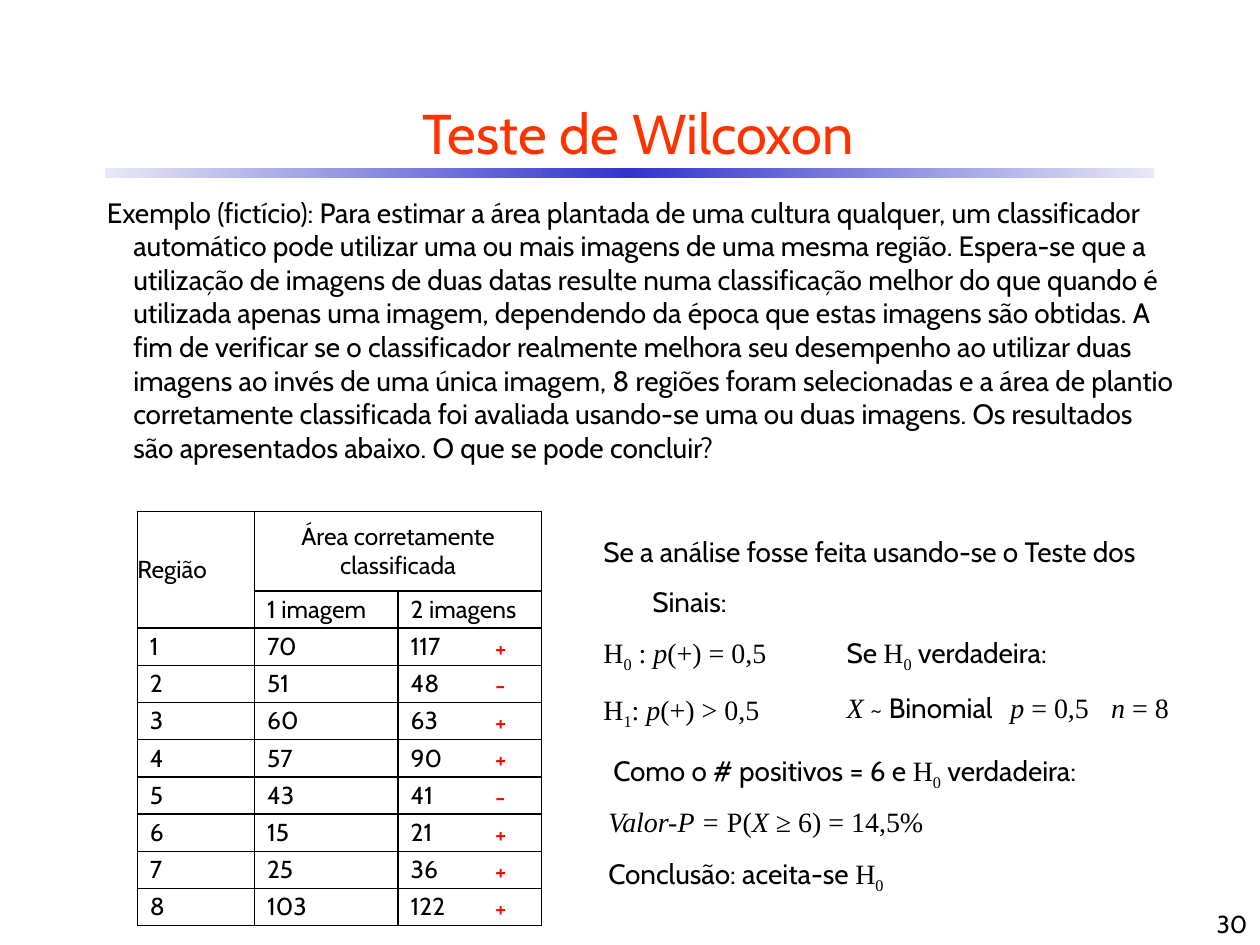
from copy import deepcopy

from lxml.etree import SubElement
from pptx import Presentation
from pptx.dml.color import RGBColor
from pptx.enum.shapes import MSO_SHAPE
from pptx.enum.text import MSO_ANCHOR, MSO_AUTO_SIZE, PP_ALIGN
from pptx.oxml.ns import qn
from pptx.util import Inches, Pt

BLACK = RGBColor(0x00, 0x00, 0x00)
WHITE = RGBColor(0xFF, 0xFF, 0xFF)
ORANGE = RGBColor(0xFF, 0x33, 0x00)
RED = RGBColor(0xFF, 0x00, 0x00)
BLUE = RGBColor(0x33, 0x33, 0xCC)
PALE_BLUE = RGBColor(0xE8, 0xE8, 0xF6)

SANS, SERIF, ITALIC, SUB = "sans", "serif", "italic", "sub"
H0 = [("H", SERIF), ("0", SUB)]

EXAMPLE = (
    "Exemplo (fictício): Para estimar a área plantada de uma cultura qualquer, "
    "um classificador automático pode utilizar uma ou mais imagens de uma mesma "
    "região. Espera-se que a utilização de imagens de duas datas resulte numa "
    "classificação melhor do que quando é utilizada apenas uma imagem, dependendo "
    "da época que estas imagens são obtidas. A fim de verificar se o classificador "
    "realmente melhora seu desempenho ao utilizar duas imagens ao invés de uma "
    "única imagem, 8 regiões foram selecionadas e a área de plantio corretamente "
    "classificada foi avaliada usando-se uma ou duas imagens. Os resultados são "
    "apresentados abaixo. O que se pode concluir?"
)
AREAS = [(70, 117), (51, 48), (60, 63), (57, 90), (43, 41), (15, 21), (25, 36), (103, 122)]


class SlideWriter:
    sans = "Cabin"
    serif = "Times New Roman"

    def __init__(self, slide):
        self.slide = slide

    def add_runs(self, paragraph, runs, size, color):
        for text, look in runs:
            run = paragraph.add_run()
            run.text = text
            font = run.font
            font.name = self.sans if look == SANS else self.serif
            font.size = Pt(size)
            font.color.rgb = color
            font.italic = look == ITALIC
            if look == SUB:
                font._element.set("baseline", "-25000")

    def text(self, box, paragraphs, size=16, color=BLACK, align=PP_ALIGN.LEFT,
             anchor=MSO_ANCHOR.TOP, wrap=True, grow=True, spacing=None,
             hanging=0, tabs=()):
        """Write a text box; each paragraph is a list of (text, look) pairs."""
        frame = self.slide.shapes.add_textbox(*map(Inches, box)).text_frame
        frame.word_wrap = wrap
        frame.auto_size = MSO_AUTO_SIZE.SHAPE_TO_FIT_TEXT if grow else MSO_AUTO_SIZE.NONE
        frame.vertical_anchor = anchor
        for index, runs in enumerate(paragraphs):
            paragraph = frame.add_paragraph() if index else frame.paragraphs[0]
            paragraph.alignment = align
            if spacing:
                paragraph.line_spacing = spacing
            properties = paragraph._p.get_or_add_pPr()
            if hanging:
                properties.set("marL", str(Inches(hanging)))
                properties.set("indent", str(-Inches(hanging)))
            if tabs:
                tab_list = SubElement(properties, qn("a:tabLst"))
                for position in tabs:
                    SubElement(tab_list, qn("a:tab"), pos=str(Inches(position)), algn="l")
            self.add_runs(paragraph, runs, size, color)

    def gradient_bar(self, box, edge, middle):
        bar = self.slide.shapes.add_shape(MSO_SHAPE.RECTANGLE, *map(Inches, box))
        bar.shadow.inherit = False
        bar.line.fill.background()
        bar.fill.gradient()
        bar.fill.gradient_angle = 0
        stop_list = bar._element.spPr.find(qn("a:gradFill")).find(qn("a:gsLst"))
        stop_list.insert(1, deepcopy(stop_list[0]))
        for stop, position, color in zip(bar.fill.gradient_stops, (0, 0.5, 1),
                                         (edge, middle, edge)):
            stop.position = position
            stop.color.rgb = color

    def table(self, left, top, widths, heights):
        size = (sum(widths), sum(heights))
        table = self.slide.shapes.add_table(
            len(heights), len(widths), *map(Inches, (left, top, *size))).table
        table.first_row = table.horz_banding = False
        for column, width in zip(table.columns, widths):
            column.width = Inches(width)
        for row, height in zip(table.rows, heights):
            row.height = Inches(height)
        return table

    def cell(self, cell, text="", color=BLACK, fill=None, border=None,
             align=PP_ALIGN.LEFT, inset=0.1):
        properties = cell._tc.get_or_add_tcPr()
        for side in ("a:lnL", "a:lnR", "a:lnT", "a:lnB"):
            line = SubElement(properties, qn(side), w=str(Pt(1)))
            if border is None:
                SubElement(line, qn("a:noFill"))
            else:
                solid = SubElement(line, qn("a:solidFill"))
                SubElement(solid, qn("a:srgbClr"), val=str(border))
        if fill is None:
            cell.fill.background()
        else:
            cell.fill.solid()
            cell.fill.fore_color.rgb = fill
        cell.margin_left = cell.margin_right = Inches(inset)
        cell.margin_top = cell.margin_bottom = 0
        cell.vertical_anchor = MSO_ANCHOR.MIDDLE
        paragraph = cell.text_frame.paragraphs[0]
        paragraph.alignment = align
        if text:
            self.add_runs(paragraph, [(text, SANS)], 14, color)


def add_area_table(writer):
    row_height = (3.29 - 0.63) / 9
    table = writer.table(1.09, 4.06, [0.93, 1.14, 1.14], [0.63] + [row_height] * 9)
    rows = [("Região", "Área corretamente classificada", ""),
            ("", "1 imagem", "2 imagens")]
    rows += [(str(region), str(one), str(two))
             for region, (one, two) in enumerate(AREAS, start=1)]
    for r, row in enumerate(rows):
        for c, text in enumerate(row):
            writer.cell(table.cell(r, c), text, fill=WHITE, border=BLACK,
                        align=PP_ALIGN.CENTER if (r, c) == (0, 1) else PP_ALIGN.LEFT,
                        inset=0 if (r, c) == (0, 0) else 0.1)
    table.cell(0, 0).merge(table.cell(1, 0))
    table.cell(0, 1).merge(table.cell(0, 2))


def add_sign_table(writer):
    table = writer.table(3.83, 5, [0.47], [2.36 / len(AREAS)] * len(AREAS))
    for r, (one, two) in enumerate(AREAS):
        writer.cell(table.cell(r, 0), "+" if two > one else "-", color=RED)


def hypothesis(index, relation):
    separator = " : " if index == "0" else ": "
    return [("H", SERIF), (index, SUB), (separator, SERIF), ("p", ITALIC),
            (f"(+) {relation} 0,5", SERIF)]


def main():
    presentation = Presentation()
    presentation.slide_width, presentation.slide_height = Inches(10), Inches(7.5)
    writer = SlideWriter(presentation.slides.add_slide(presentation.slide_layouts[6]))

    writer.gradient_bar((0.83, 1.33, 8.33, 0.08), PALE_BLUE, BLUE)
    writer.text((0.33, 0.67, 9.47, 0.75), [[("Teste de Wilcoxon", SANS)]], size=32,
                color=ORANGE, align=PP_ALIGN.CENTER, anchor=MSO_ANCHOR.MIDDLE, grow=False)
    writer.text((0.75, 1.5, 8.7, 2.52), [[(EXAMPLE, SANS)]], hanging=0.21)
    add_area_table(writer)

    writer.text((4.69, 4.06, 5, 0.86),
                [[("Se a análise fosse feita usando-se o Teste dos Sinais:", SANS)]],
                spacing=1.5, hanging=0.39)
    writer.text((4.69, 4.84, 1.95, 0.86),
                [hypothesis("0", "="), hypothesis("1", ">")], spacing=1.5)
    writer.text((6.62, 4.84, 3.02, 0.86),
                [[("Se ", SANS), *H0, (" verdadeira:", SANS)],
                 [("X", ITALIC), (" ~ Binomial\t", SANS), ("p", ITALIC),
                  (" = 0,5\t", SERIF), ("n", ITALIC), (" = 8", SERIF)]],
                wrap=False, spacing=1.5, tabs=(1.3, 2.1))
    writer.text((4.77, 5.78, 4.37, 0.46),
                [[("Como o # positivos = 6 e ", SANS), *H0, (" verdadeira:", SANS)]],
                wrap=False, spacing=1.5)
    add_sign_table(writer)
    writer.text((4.73, 6.2, 2.73, 0.86),
                [[("Valor-P = ", ITALIC), ("P(", SERIF), ("X", ITALIC),
                  (" ≥ 6) = 14,5%", SERIF)],
                 [("Conclusão: aceita-se ", SANS), *H0]],
                wrap=False, spacing=1.5)
    writer.text((7.92, 7, 2.08, 0.5), [[("30", SANS)]], size=14,
                align=PP_ALIGN.RIGHT, anchor=MSO_ANCHOR.BOTTOM, grow=False)

    presentation.save("out.pptx")


if __name__ == "__main__":
    main()
